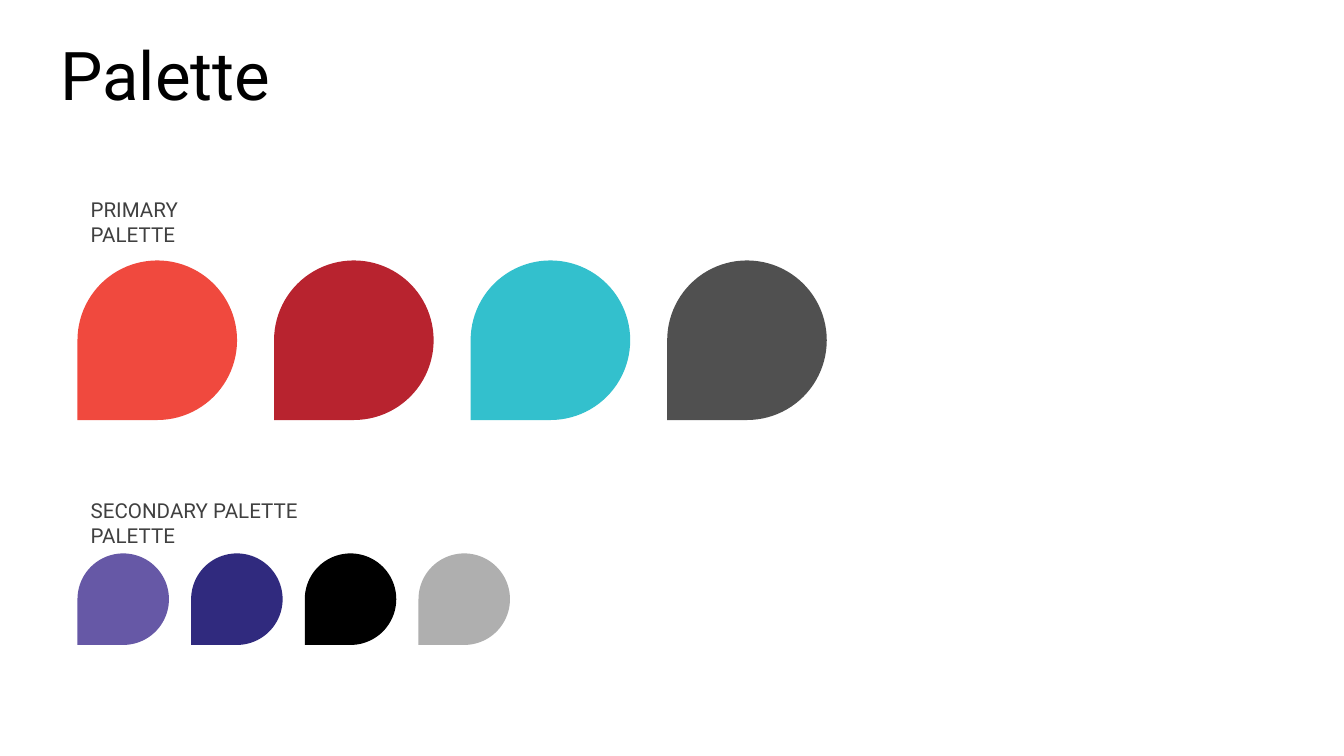
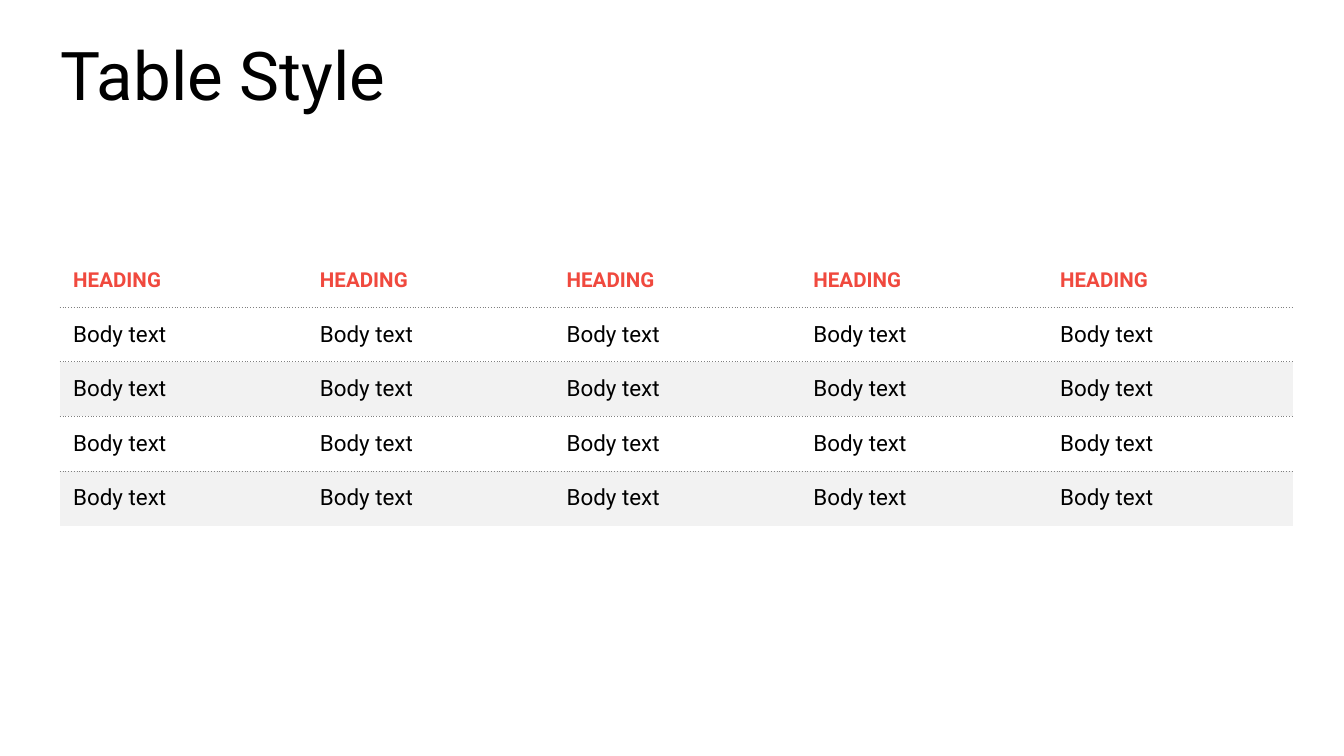
"""Build the palette and table style slides of a brand guide."""
import dataclasses

import lxml.etree
import pptx
import pptx.dml.color
import pptx.enum.shapes
import pptx.enum.text
import pptx.oxml
import pptx.oxml.ns
import pptx.util

Pt = pptx.util.Pt
ANCHOR = pptx.enum.text.MSO_ANCHOR
LEFT = pptx.enum.text.PP_ALIGN.LEFT


@dataclasses.dataclass(frozen=True)
class Theme:
    font: str = "Roboto"
    ink: str = "000000"
    label: str = "404040"
    accent: str = "F0493E"
    band: str = "F2F2F2"
    rule: str = "808080"
    title_size: float = 36
    title_leading: float = 35
    label_size: float = 11
    body_size: float = 12
    primary: tuple = ("F0493E", "B8232F", "33C0CD", "505050")
    secondary: tuple = ("6658A6", "302A7E", "000000", "AFAFAF")


THEME = Theme()
NO_STYLE = "{2D5ABB26-0587-4C30-8999-92F81FD0307C}"


def rgb(color):
    return pptx.dml.color.RGBColor.from_string(color)


def apply(target, values):
    for name, value in values.items():
        setattr(target, name, value)


def write(p, lines, size, color, bold=False):
    for i, line in enumerate(lines):
        if i:
            p.add_line_break()
        r = p.add_run()
        r.text = line
        apply(r.font, {"name": THEME.font, "size": Pt(size), "bold": bold})
        r.font.color.rgb = rgb(color)


def add_titled_slide(prs, title):
    s = prs.slides.add_slide(prs.slide_layouts[5])
    sp = s.shapes.title
    apply(sp, {"left": Pt(25.2), "top": Pt(19.3),
               "width": Pt(667.5), "height": Pt(48.2)})
    tf = sp.text_frame
    apply(tf, {"word_wrap": True, "vertical_anchor": ANCHOR.MIDDLE,
               "auto_size": pptx.enum.text.MSO_AUTO_SIZE.NONE})
    p = tf.paragraphs[0]
    apply(p, {"alignment": LEFT, "line_spacing": Pt(THEME.title_leading)})
    write(p, [title], THEME.title_size, THEME.ink)
    return s


def add_label(shapes, lines, left, top, width):
    sp = shapes.add_textbox(Pt(left), Pt(top), Pt(width), Pt(20.6))
    tf = sp.text_frame
    apply(tf, {"word_wrap": True, "vertical_anchor": ANCHOR.TOP})
    write(tf.paragraphs[0], lines, THEME.label_size, THEME.label)


def add_drop(shapes, left, top, size, color):
    sp = shapes.add_shape(pptx.enum.shapes.MSO_SHAPE.TEAR,
                          Pt(left), Pt(top), Pt(size), Pt(size))
    sp.rotation = 180
    sp.shadow.inherit = False
    sp.fill.solid()
    sp.fill.fore_color.rgb = rgb(color)
    sp.line.fill.background()


def add_swatches(s, lines, label_top, label_width, colors, top, size, pitch):
    left = 41.5
    shapes = s.shapes.add_group_shape().shapes
    add_label(shapes, lines, left, label_top, label_width)
    for i, color in enumerate(colors):
        add_drop(shapes, left + i * pitch, top, size, color)


def add_rules(cell, sides):
    tc_pr = cell._tc.get_or_add_tcPr()
    for i, side in enumerate(sides):
        tc_pr.insert(i, pptx.oxml.parse_xml(
            f'<a:{side} {pptx.oxml.ns.nsdecls("a")} w="{Pt(0.5)}">'
            f'<a:solidFill><a:srgbClr val="{THEME.rule}"/></a:solidFill>'
            f'<a:prstDash val="sysDot"/></a:{side}>'))


def fill_cell(cell, row, last_row):
    apply(cell, {"vertical_anchor": ANCHOR.MIDDLE,
                 "margin_left": Pt(7.2), "margin_right": Pt(7.2),
                 "margin_top": Pt(2.7), "margin_bottom": Pt(2.7)})
    if row and row % 2 == 0:
        cell.fill.solid()
        cell.fill.fore_color.rgb = rgb(THEME.band)
    else:
        cell.fill.background()
    p = cell.text_frame.paragraphs[0]
    if row == 0:
        write(p, ["HEADING"], THEME.label_size, THEME.accent, bold=True)
    else:
        write(p, ["Body text"], THEME.body_size, THEME.ink)
    add_rules(cell, ["lnT"] * (row > 0) + ["lnB"] * (row < last_row))


def add_style_table(s, rows, cols, left, top, col_width, row_height):
    table = s.shapes.add_table(
        rows, cols, Pt(left), Pt(top),
        Pt(cols * col_width), Pt(rows * row_height)).table
    apply(table, {"first_row": False, "horz_banding": False})
    table._tbl.tblPr.find(pptx.oxml.ns.qn("a:tableStyleId")).text = NO_STYLE
    for column in table.columns:
        column.width = Pt(col_width)
    for i, row in enumerate(table.rows):
        row.height = Pt(row_height)
        for cell in row.cells:
            fill_cell(cell, i, rows - 1)


def main():
    prs = pptx.Presentation()
    apply(prs, {"slide_width": Pt(720), "slide_height": Pt(405)})

    s = add_titled_slide(prs, "Palette")
    add_swatches(s, ["PRIMARY", "PALETTE"], 102.2, 105, THEME.primary,
                 top=139.5, size=85.5, pitch=105.3)
    add_swatches(s, ["SECONDARY PALETTE", "PALETTE"], 263.2, 166,
                 THEME.secondary, top=296.5, size=49, pitch=60.9)

    s = add_titled_slide(prs, "Table Style")
    add_style_table(s, rows=5, cols=5, left=32, top=135.4,
                    col_width=132.2, row_height=29.25)

    prs.save("out.pptx")


if __name__ == "__main__":
    main()
